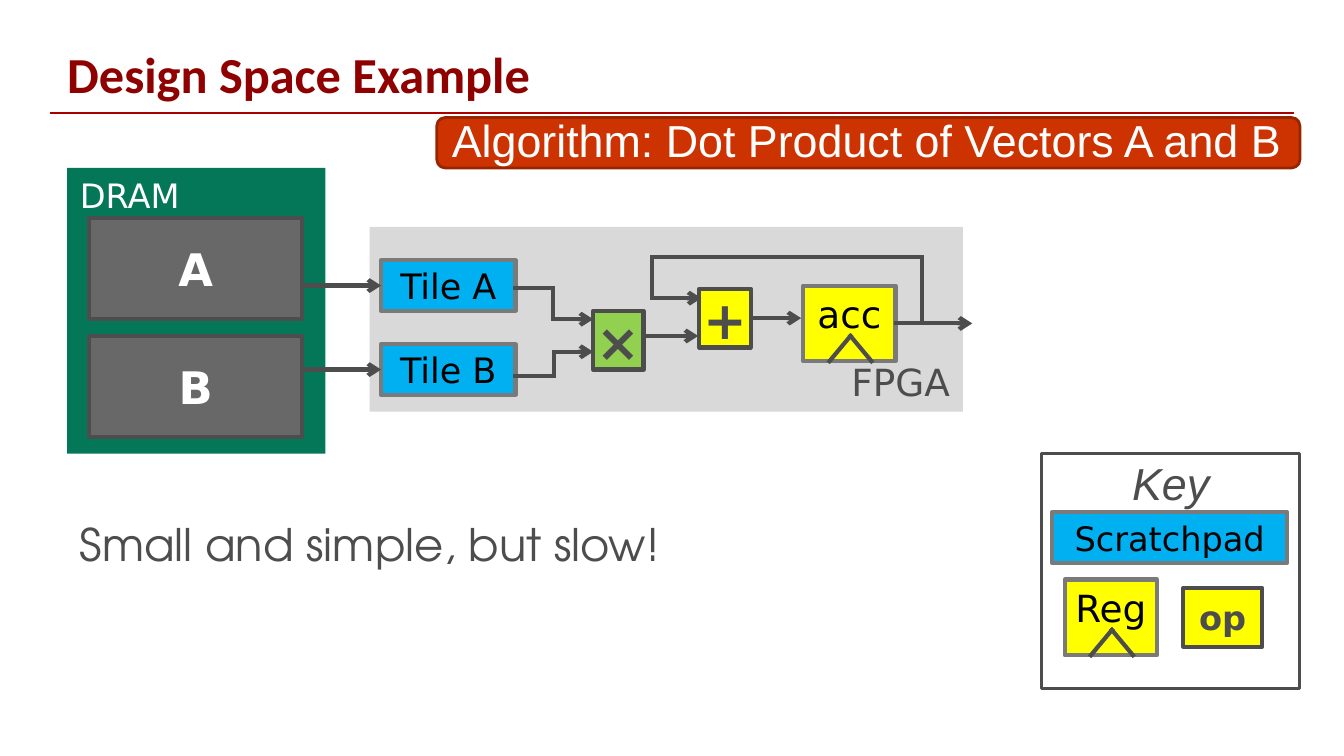
from lxml import etree
from pptx import Presentation
from pptx.dml.color import RGBColor
from pptx.enum.shapes import MSO_CONNECTOR, MSO_SHAPE
from pptx.enum.text import MSO_ANCHOR, MSO_AUTO_SIZE, PP_ALIGN
from pptx.oxml.ns import qn
from pptx.util import Pt

PX = 9525  # 96 px to the inch
RECT, ROUNDED = MSO_SHAPE.RECTANGLE, MSO_SHAPE.ROUNDED_RECTANGLE
STRAIGHT = MSO_CONNECTOR.STRAIGHT
TOP, MIDDLE, BOTTOM = MSO_ANCHOR.TOP, MSO_ANCHOR.MIDDLE, MSO_ANCHOR.BOTTOM
LEFT, CENTER, RIGHT = PP_ALIGN.LEFT, PP_ALIGN.CENTER, PP_ALIGN.RIGHT
LEFT_SIDE, RIGHT_SIDE = 1, 3

WHITE = RGBColor(0xFF, 0xFF, 0xFF)
BLACK = RGBColor(0x00, 0x00, 0x00)
DARK = RGBColor(0x4D, 0x4D, 0x4D)
GRAY = RGBColor(0x7A, 0x7A, 0x7A)
MEMORY_GRAY = RGBColor(0x68, 0x68, 0x68)
PALE_GRAY = RGBColor(0xD9, 0xD9, 0xD9)
DRAM_GREEN = RGBColor(0x05, 0x77, 0x59)
OP_GREEN = RGBColor(0x92, 0xD0, 0x50)
YELLOW = RGBColor(0xFF, 0xFF, 0x00)
BLUE = RGBColor(0x00, 0xB0, 0xF0)
ORANGE = RGBColor(0xCC, 0x33, 0x00)
BROWN = RGBColor(0x97, 0x26, 0x00)
TITLE_RED = RGBColor(0x8F, 0x00, 0x00)
RULE_RED = RGBColor(0xAC, 0x00, 0x00)

SANS = "DejaVu Sans"
WIDE_INSETS, NO_INSETS, REGISTER_INSETS = (12, 7), (0, 0), (10, 5)


def px(*lengths):
    return [length * PX for length in lengths]


def write(shape, text, size, color, name=SANS, bold=False, italic=False,
          align=CENTER, anchor=MIDDLE, insets=WIDE_INSETS, spacing=None):
    frame = shape.text_frame
    frame.word_wrap = True
    frame.auto_size = MSO_AUTO_SIZE.NONE
    frame.vertical_anchor = anchor
    frame.margin_left = frame.margin_right = insets[0] * PX
    frame.margin_top = frame.margin_bottom = insets[1] * PX
    frame.text = text
    paragraph = frame.paragraphs[0]
    paragraph.alignment = align
    if spacing:
        paragraph.line_spacing = spacing
    font = paragraph.font
    font.name, font.size, font.bold, font.italic = name, Pt(size), bold, italic
    font.color.rgb = color


def add_box(shapes, box, fill, line=None, width=3, kind=RECT):
    shape = shapes.add_shape(kind, *px(*box))
    shape.shadow.inherit = False
    shape.fill.solid()
    shape.fill.fore_color.rgb = fill
    if line is None:
        shape.line.fill.background()
    else:
        shape.line.color.rgb = line
        shape.line.width = Pt(width)
    return shape


def add_line(shapes, start, end, color=DARK, width=3, arrow=False):
    line = shapes.add_connector(STRAIGHT, *px(*start, *end))
    line.line.color.rgb = color
    line.line.width = Pt(width)
    properties = line._element.spPr
    outline = properties.find(qn("a:ln"))
    outline.set("cap", "sq")
    if arrow:
        etree.SubElement(outline, qn("a:tailEnd"), type="arrow")
    etree.SubElement(properties, qn("a:effectLst"))
    return line


def add_wire(shapes, *points):
    """Draw straight segments through the points, with an arrow on the last."""
    segments = list(zip(points, points[1:]))
    return [add_line(shapes, start, end, arrow=end is points[-1])
            for start, end in segments]


def add_memory(shapes, top, text):
    memory = add_box(shapes, (85, top, 203, 96), MEMORY_GRAY, DARK)
    write(memory, text, 32, WHITE, bold=True)


def add_scratchpad(shapes, box, text, size):
    scratchpad = add_box(shapes, box, BLUE, GRAY)
    write(scratchpad, text, size, BLACK)
    return scratchpad


def add_register(shapes, left, top, text):
    group = shapes.add_group_shape().shapes
    register = add_box(group, (left, top, 88, 72), YELLOW, GRAY)
    write(register, text, 26.7, BLACK, anchor=TOP, insets=REGISTER_INSETS)
    for foot in (25, 65):
        add_line(group, (left + foot, top + 72), (left + 45, top + 48))
    return register


def add_operator(shapes, box, text, size, fill=YELLOW):
    operator = add_box(shapes, box, fill, DARK)
    write(operator, text, size, DARK, bold=True, insets=NO_INSETS)
    return operator


def add_heading(slide):
    title = slide.shapes.title
    title.left, title.top, title.width, title.height = px(54, 38, 1191, 65)
    write(title, "Design Space Example", 36, TITLE_RED, "Calibri", bold=True,
          align=LEFT, anchor=BOTTOM, insets=REGISTER_INSETS, spacing=0.8)
    add_line(slide.shapes, (49, 108), (1231, 108), RULE_RED, 1.5)
    banner = add_box(slide.shapes, (416, 112, 822, 48), ORANGE, BROWN, 2, ROUNDED)
    write(banner, "Algorithm: Dot Product of Vectors A and B", 32, WHITE,
          "Arial", align=LEFT, spacing=0.93)


def add_circuit(shapes):
    # Memory and chip areas
    dram = add_box(shapes, (64, 160, 246, 272), DRAM_GREEN)
    write(dram, "DRAM", 24, WHITE, align=LEFT, anchor=TOP)
    fpga = add_box(shapes, (352, 216, 565, 176), PALE_GRAY)
    write(fpga, "FPGA", 26.7, DARK, align=RIGHT, anchor=BOTTOM)

    # Vectors and their tiles
    for letter, memory_top, tile_top in (("A", 208, 248), ("B", 320, 328)):
        add_memory(shapes, memory_top, letter)
        tile = add_scratchpad(shapes, (363, tile_top, 128, 48), f"Tile {letter}", 25)
        middle = tile_top + 24
        load = add_wire(shapes, (288, middle), (363, middle))[0]
        load.end_connect(tile, LEFT_SIDE)

    # Operators and accumulator
    add_operator(shapes, (565, 296, 48, 56), "×", 37.3, OP_GREEN)
    plus = add_operator(shapes, (666, 275, 49, 56), "+", 37.3)
    accumulator = add_register(shapes, 765, 272, "acc")

    # Wires
    add_wire(shapes, (491, 274), (527, 274), (527, 304), (565, 304))
    add_wire(shapes, (491, 358), (528, 358), (528, 335), (565, 335))
    add_wire(shapes, (613, 320), (665, 320))
    add_wire(shapes, (878, 308), (878, 245), (621, 245), (621, 284), (668, 284))
    total = add_wire(shapes, (715, 303), (763, 303))[0]
    total.begin_connect(plus, RIGHT_SIDE)
    output = add_wire(shapes, (853, 308), (926, 308))[0]
    output.begin_connect(accumulator, RIGHT_SIDE)


def add_key(shapes):
    key = add_box(shapes, (992, 432, 246, 224), WHITE, DARK, 2)
    write(key, "Key", 32, DARK, "Arial", italic=True, anchor=TOP, spacing=0.93)
    add_scratchpad(shapes, (1002, 488, 224, 48), "Scratchpad", 24)
    add_register(shapes, 1014, 552, "Reg")
    add_operator(shapes, (1127, 560, 75, 56), "op", 24)


def main():
    presentation = Presentation()
    presentation.slide_width, presentation.slide_height = px(1280, 720)
    slide = presentation.slides.add_slide(presentation.slide_layouts[5])
    add_heading(slide)
    add_circuit(slide.shapes)
    remark = slide.shapes.add_textbox(*px(64, 488, 1194, 232))
    write(remark, "Small and simple, but slow!", 32, DARK, "TeX Gyre Adventor",
          align=LEFT, anchor=TOP, spacing=0.98)
    add_key(slide.shapes)
    presentation.save("out.pptx")


if __name__ == "__main__":
    main()
